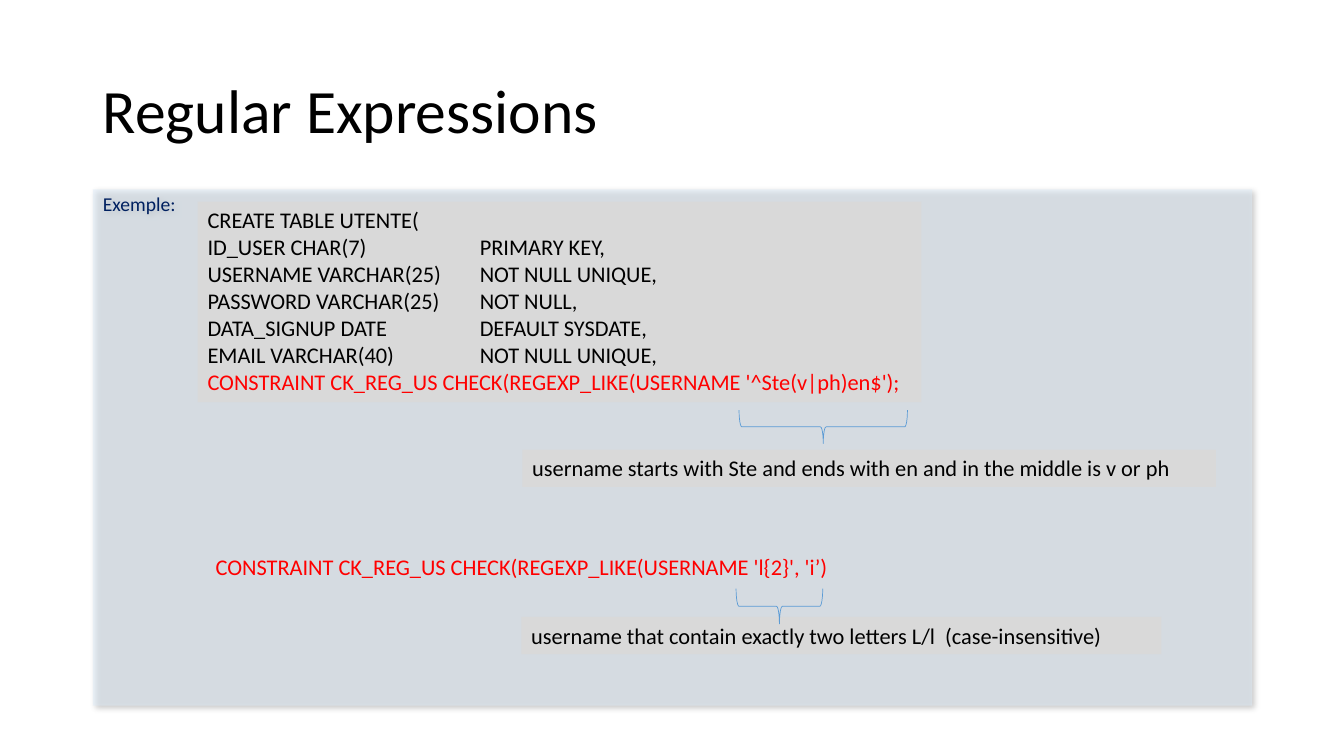
from lxml import etree
from pptx import Presentation
from pptx.dml.color import RGBColor
from pptx.enum.shapes import MSO_SHAPE
from pptx.enum.text import MSO_ANCHOR, MSO_AUTO_SIZE, PP_ALIGN
from pptx.oxml import parse_xml
from pptx.oxml.ns import nsdecls, qn
from pptx.util import Inches, Pt

RIGHT_BRACE = MSO_SHAPE.RIGHT_BRACE
TOP, MIDDLE = MSO_ANCHOR.TOP, MSO_ANCHOR.MIDDLE
NO_AUTOFIT = MSO_AUTO_SIZE.NONE
LEFT = PP_ALIGN.LEFT
FONT = "Calibri"
BLACK, RED, NAVY = "000000", "FF0000", "002060"
GREY, PALE_BLUE, BRACE_BLUE = "D9D9D9", "DEEBF7", "5B9BD5"
COLUMN_STOP = 2.7

TABLE_LINES = [
    "CREATE TABLE UTENTE(",
    "ID_USER CHAR(7)\tPRIMARY KEY,",
    "USERNAME VARCHAR(25)\tNOT NULL UNIQUE,",
    "PASSWORD VARCHAR(25)\tNOT NULL,",
    "DATA_SIGNUP DATE\tDEFAULT SYSDATE,",
    "EMAIL VARCHAR(40)\tNOT NULL UNIQUE,",
]
NAME_CHECK = "CONSTRAINT CK_REG_US CHECK(REGEXP_LIKE(USERNAME '^Ste(v|ph)en$');"
LETTER_CHECK = "CONSTRAINT CK_REG_US CHECK(REGEXP_LIKE(USERNAME 'l{2}', 'i’)"
NAME_NOTE = "username starts with Ste and ends with en and in the middle is v or ph"
LETTER_NOTE = "username that contain exactly two letters L/l\u00a0 (case-insensitive)"


def rgb(value):
    """Turn a hex string into a colour."""
    return RGBColor.from_string(value)


def place(part, left, top, width, height):
    """Move a part to a box given in inches."""
    part.left, part.top = Inches(left), Inches(top)
    part.width, part.height = Inches(width), Inches(height)


def write(paragraph, text, size=16, color=BLACK, spacing=1.0, before=0):
    """Fill a paragraph with formatted text."""
    paragraph.alignment = LEFT
    paragraph.line_spacing = spacing
    paragraph.space_before = Pt(before)
    run = paragraph.add_run()
    run.text = text
    run.font.name, run.font.size = FONT, Pt(size)
    run.font.color.rgb = rgb(color)


def add_tab_stop(paragraph, position):
    """Set a left tab stop, in inches, on a paragraph."""
    stops = etree.SubElement(paragraph._p.get_or_add_pPr(), qn("a:tabLst"))
    etree.SubElement(stops, qn("a:tab"), pos=str(Inches(position)), algn="l")


def add_text_area(slide, box, fill=None):
    """Add a wrapping text box and return its text frame."""
    area = slide.shapes.add_textbox(0, 0, 0, 0)
    place(area, *box)
    if fill:
        area.fill.solid()
        area.fill.fore_color.rgb = rgb(fill)
    area.text_frame.word_wrap = True
    return area.text_frame


def fill_title(slide, box):
    """Write the slide title."""
    title = slide.shapes.title
    place(title, *box)
    title.text_frame.vertical_anchor = MIDDLE
    title.text_frame.auto_size = NO_AUTOFIT
    write(title.text_frame.paragraphs[0], "Regular Expressions", size=44, spacing=0.9)


def fill_panel(slide, box):
    """Format the translucent panel and its label."""
    panel = slide.placeholders[1]
    place(panel, *box)
    panel.fill.solid()
    panel.fill.fore_color.rgb = rgb(PALE_BLUE)
    color = panel._element.spPr.find(".//" + qn("a:srgbClr"))
    etree.SubElement(color, qn("a:alpha"), val="50000")
    panel._element.spPr.append(parse_xml(
        f'<a:effectLst {nsdecls("a")}><a:outerShdw blurRad="{Pt(4)}" dist="{Pt(3)}" '
        'dir="2700000" algn="tl" rotWithShape="0"><a:srgbClr val="000000">'
        '<a:alpha val="40000"/></a:srgbClr></a:outerShdw></a:effectLst>'))
    panel.text_frame.vertical_anchor = TOP
    panel.text_frame.auto_size = NO_AUTOFIT
    label = panel.text_frame.paragraphs[0]
    write(label, "Exemple:", size=14, color=NAVY, spacing=0.9, before=10)
    properties = label._p.get_or_add_pPr()
    properties.set("marL", "0")
    properties.set("indent", "0")
    etree.SubElement(properties, qn("a:buNone"))


def add_table_code(slide, box):
    """Add the table definition, ending in its red constraint."""
    frame = add_text_area(slide, box, GREY)
    for index, line in enumerate(TABLE_LINES):
        paragraph = frame.add_paragraph() if index else frame.paragraphs[0]
        write(paragraph, line)
        add_tab_stop(paragraph, COLUMN_STOP)
    write(frame.add_paragraph(), NAME_CHECK, color=RED)


def add_brace(slide, box):
    """Add a brace pointing down that spans the given box."""
    left, top, width, height = box
    brace = slide.shapes.add_shape(RIGHT_BRACE, 0, 0, 0, 0)
    shift = (width - height) / 2
    place(brace, left + shift, top - shift, height, width)
    brace.rotation = 90
    brace.shadow.inherit = False
    brace.fill.background()
    brace.line.color.rgb = rgb(BRACE_BLUE)
    brace.line.width = Pt(0.5)


def add_note(slide, box, text):
    """Add a grey explanation."""
    write(add_text_area(slide, box, GREY).paragraphs[0], text)


def add_letter_check(slide, box):
    """Add the second constraint."""
    frame = add_text_area(slide, box)
    write(frame.paragraphs[0], LETTER_CHECK, color=RED, spacing=1.5)


def main():
    """Build and save the slide."""
    deck = Presentation()
    deck.slide_width, deck.slide_height = Inches(13.33), Inches(7.5)
    slide = deck.slides.add_slide(deck.slide_layouts[1])
    fill_title(slide, (0.92, 0.4, 11.5, 1.45))
    fill_panel(slide, (0.92, 1.88, 11.5, 5.12))
    add_table_code(slide, (1.96, 2, 7.18, 1.99))
    add_brace(slide, (7.33, 4.07, 1.67, 0.33))
    add_note(slide, (5.18, 4.46, 6.88, 0.37), NAME_NOTE)
    add_letter_check(slide, (2.04, 5.31, 9.25, 0.46))
    add_note(slide, (5.17, 6.12, 6.35, 0.37), LETTER_NOTE)
    add_brace(slide, (7.3, 5.84, 0.86, 0.35))
    deck.save("out.pptx")


if __name__ == "__main__":
    main()
